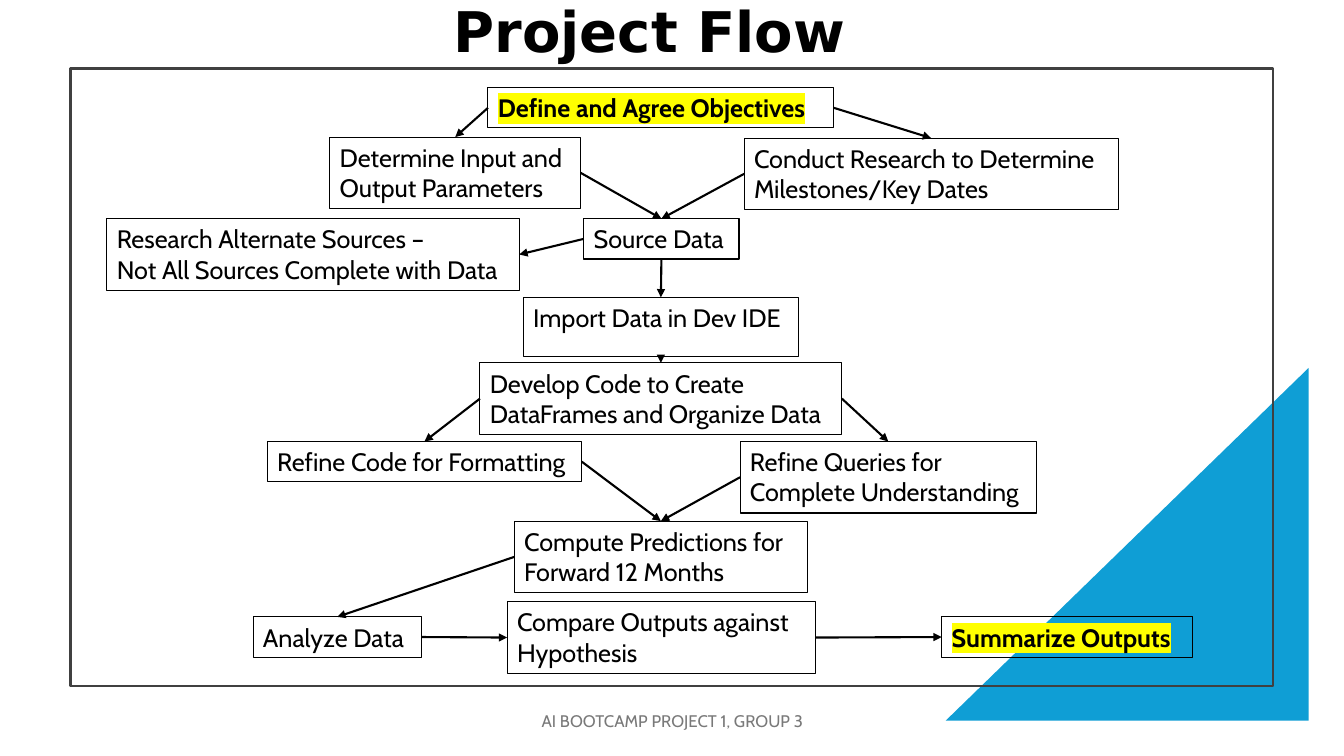
from lxml import etree
from pptx import Presentation
from pptx.dml.color import RGBColor
from pptx.enum import shapes, text
from pptx.oxml.ns import qn
from pptx.util import Inches, Pt

BLACK = RGBColor(0x00, 0x00, 0x00)
DARK_GREY = RGBColor(0x40, 0x40, 0x40)
GREY = RGBColor(0x79, 0x79, 0x79)
BLUE = RGBColor(0x0F, 0x9E, 0xD5)
YELLOW = RGBColor(0xFF, 0xFF, 0x00)
TOP, LEFT, BOTTOM, RIGHT = range(4)
ONE_LINE, TWO_LINES = 0.4, 0.71

prs = Presentation()
prs.slide_width, prs.slide_height = Inches(13.33), Inches(7.5)
s = prs.slides.add_slide(prs.slide_layouts[6])


def add_outline(preset, at, line=None, width=0.75, fill=None):
    """Add a preset shape without shadow; no fill or line unless given."""
    sp = s.shapes.add_shape(preset, *map(Inches, at))
    sp.shadow.inherit = False
    if fill is None:
        sp.fill.background()
    else:
        sp.fill.solid()
        sp.fill.fore_color.rgb = fill
    if line is None:
        sp.line.fill.background()
    else:
        sp.line.color.rgb = line
        sp.line.width = Pt(width)
    return sp


def write(sp, lines, size=18, font="Cabin", color=BLACK, bold=False,
          highlight=None, align=text.PP_ALIGN.LEFT, spacing=1.0, **frame):
    """Write one paragraph per line; extra keywords set the text frame."""
    tf = sp.text_frame
    for name, value in {"word_wrap": True, **frame}.items():
        setattr(tf, name, value)
    for i, line in enumerate(lines):
        p = tf.add_paragraph() if i else tf.paragraphs[0]
        p.alignment, p.line_spacing = align, spacing
        r = p.add_run()
        r.text = line
        r.font.color.rgb = color
        for name, value in {"size": Pt(size), "name": font, "bold": bold}.items():
            setattr(r.font, name, value)
        if highlight is not None:
            mark = etree.Element(qn("a:highlight"))
            etree.SubElement(mark, qn("a:srgbClr"), val=str(highlight))
            r._r.rPr.find(qn("a:latin")).addprevious(mark)


# Backdrop, title and footer
corner = add_outline(shapes.MSO_SHAPE.RIGHT_TRIANGLE, (9.38, 3.65, 3.6, 3.5), fill=BLUE)
corner._element.spPr.xfrm.set("flipH", "1")
add_outline(shapes.MSO_SHAPE.RECTANGLE, (0.7, 0.68, 11.93, 6.13), DARK_GREY, 1.5)

centred = {"align": text.PP_ALIGN.CENTER, "vertical_anchor": text.MSO_ANCHOR.MIDDLE}
title = s.shapes.add_textbox(*map(Inches, (0.25, -0.12, 12.38, 0.92)))
write(title, ["Project Flow"], 40, "DejaVu Sans", bold=True, spacing=0.9, **centred)
footer = s.shapes.add_textbox(*map(Inches, (4.42, 6.95, 4.5, 0.4)))
write(footer, ["AI BOOTCAMP PROJECT 1, GROUP 3"], 12, color=GREY, **centred)

# Steps: left, top, width, height, lines
steps = {
    "define": (4.84, 0.87, 3.43, ONE_LINE, ["Define and Agree Objectives"]),
    "parameters": (3.27, 1.36, 2.49, TWO_LINES,
                   ["Determine Input and", "Output Parameters"]),
    "milestones": (7.38, 1.37, 3.71, TWO_LINES,
                   ["Conduct Research to Determine", "Milestones/Key Dates"]),
    "source": (5.79, 2.17, 1.54, ONE_LINE, ["Source Data"]),
    "alternates": (1.06, 2.17, 4.09, TWO_LINES,
                   ["Research Alternate Sources –", "Not All Sources Complete with Data"]),
    "import": (5.19, 2.95, 2.73, 0.59, ["Import Data in Dev IDE"]),
    "develop": (4.76, 3.6, 3.59, TWO_LINES,
                ["Develop Code to Create", "DataFrames and Organize Data"]),
    "formatting": (2.65, 4.38, 3.12, ONE_LINE, ["Refine Code for Formatting"]),
    "queries": (7.34, 4.38, 2.94, TWO_LINES,
                ["Refine Queries for", "Complete Understanding"]),
    "predict": (5.1, 5.17, 2.91, TWO_LINES,
                ["Compute Predictions for", "Forward 12 Months"]),
    "analyze": (2.51, 6.12, 1.67, ONE_LINE, ["Analyze Data"]),
    "compare": (5.03, 5.97, 3.06, TWO_LINES, ["Compare Outputs against", "Hypothesis"]),
    "summarize": (9.34, 6.12, 2.49, ONE_LINE, ["Summarize Outputs"]),
}
boxes = {}
for step, (*at, lines) in steps.items():
    boxes[step] = add_outline(shapes.MSO_SHAPE.RECTANGLE, at, BLACK)
    key_step = step in ("define", "summarize")
    write(boxes[step], lines, bold=key_step, highlight=YELLOW if key_step else None,
          vertical_anchor=text.MSO_ANCHOR.TOP, margin_right=0)

arrows = [
    ("define", LEFT, "parameters", TOP),
    ("define", RIGHT, "milestones", TOP),
    ("parameters", RIGHT, "source", TOP),
    ("milestones", LEFT, "source", TOP),
    ("source", LEFT, "alternates", RIGHT),
    ("source", BOTTOM, "import", TOP),
    ("import", BOTTOM, "develop", TOP),
    ("develop", RIGHT, "queries", TOP),
    ("develop", LEFT, "formatting", TOP),
    ("formatting", RIGHT, "predict", TOP),
    ("queries", LEFT, "predict", TOP),
    ("predict", LEFT, "analyze", TOP),
    ("analyze", RIGHT, "compare", LEFT),
    ("compare", RIGHT, "summarize", LEFT),
]
for start, start_side, end, end_side in arrows:
    arrow = s.shapes.add_connector(shapes.MSO_CONNECTOR.STRAIGHT, 0, 0, 0, 0)
    arrow.begin_connect(boxes[start], start_side)
    arrow.end_connect(boxes[end], end_side)
    arrow.line.color.rgb = BLACK
    arrow.line.width = Pt(1.5)
    etree.SubElement(arrow.line._get_or_add_ln(), qn("a:tailEnd"), type="triangle")
    etree.SubElement(arrow._element.spPr, qn("a:effectLst"))

prs.save("out.pptx")
